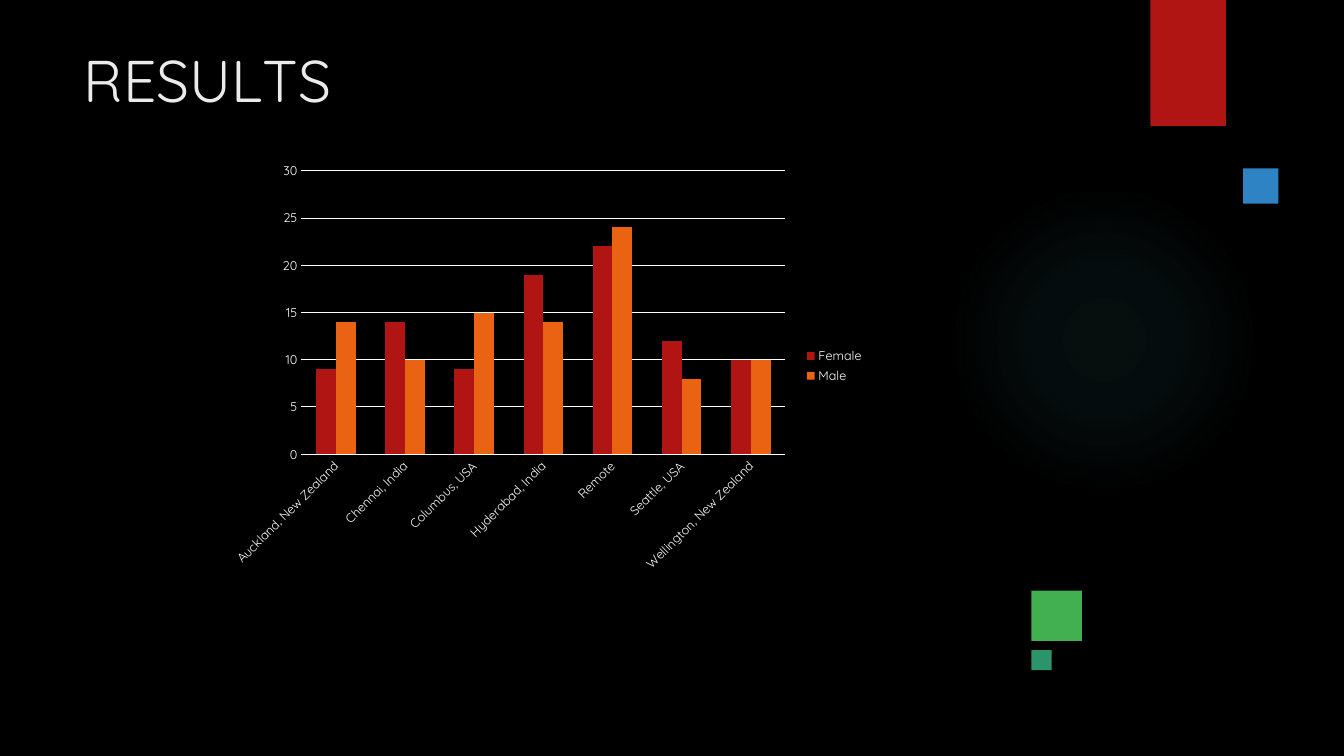
import lxml.etree
import pptx
import pptx.chart.data
import pptx.dml.color
import pptx.enum.chart
import pptx.enum.shapes
import pptx.enum.text
import pptx.oxml
import pptx.oxml.ns
import pptx.util

WIDTH, HEIGHT = 13.33, 7.5

# Colours and type sizes
THEME = {
    "font": "Quicksand", "title_size": 42, "chart_size": 10, "label_size": 9,
    "background": "000000", "title": "EBEBEB", "label": "FFFFFF", "glow": "50B9C1",
    "red": "B01513", "orange": "EA6312", "green": "42AF51",
    "blue": "2D83C3", "teal": "2D936B",
}

# Title pieces with their letter spacing in hundredths of a point
TITLE = [("R", 0), ("E", -40), ("S", 10), ("U", -30), ("L", -400), ("TS", 0)]

# Left, top, width and height in inches, then the colour
BLOCKS = [
    (11.41, 0, 0.75, 1.25, "red"),
    (10.23, 5.86, 0.5, 0.5, "green"),
    (12.33, 1.67, 0.35, 0.35, "blue"),
    (10.23, 6.45, 0.2, 0.2, "teal"),
]

GLOW_STOPS = [(0, 7), (36, 6), (69, 0)]  # position and opacity, per cent

OFFICES = ["Auckland, New Zealand", "Chennai, India", "Columbus, USA",
           "Hyderabad, India", "Remote", "Seattle, USA", "Wellington, New Zealand"]
HEADCOUNT = {
    "Female": ("red", [9, 14, 9, 19, 22, 12, 10]),
    "Male": ("orange", [14, 10, 15, 14, 24, 8, 10]),
}
PLOT_AREA = {"x": 0.115, "y": 0.07, "w": 0.748, "h": 0.625}


def colour(name):
    return pptx.dml.color.RGBColor.from_string(THEME[name])


def apply(target, formats):
    for name, value in formats.items():
        setattr(target, name, value)


def place(left, top, width, height):
    return [pptx.util.Inches(value) for value in (left, top, width, height)]


def paint(fill, name):
    fill.solid()
    fill.fore_color.rgb = colour(name)


def style_font(font, size, name):
    apply(font, {"name": THEME["font"], "size": pptx.util.Pt(THEME[size]), "bold": False})
    font.color.rgb = colour(name)


def style_line(line):
    line.width = pptx.util.Pt(0.75)
    line.color.rgb = colour("label")


def add_plain_shape(page, kind, box):
    shape = page.shapes.add_shape(kind, *place(*box))
    shape.shadow.inherit = False
    shape.line.fill.background()
    return shape


def add_block(page, left, top, width, height, name):
    block = add_plain_shape(page, pptx.enum.shapes.MSO_SHAPE.RECTANGLE,
                            (left, top, width, height))
    paint(block.fill, name)


def add_glow(page):
    glow = add_plain_shape(page, pptx.enum.shapes.MSO_SHAPE.OVAL, (9.41, 1.83, 3.08, 3.08))
    # Radial gradient that fades out towards the rim
    stops = "".join(
        f'<a:gs pos="{position * 1000}"><a:srgbClr val="{THEME["glow"]}">'
        f'<a:alpha val="{opacity * 1000}"/></a:srgbClr></a:gs>'
        for position, opacity in GLOW_STOPS)
    gradient = pptx.oxml.parse_xml(
        f'<a:gradFill {pptx.oxml.ns.nsdecls("a")} rotWithShape="1"><a:gsLst>{stops}</a:gsLst>'
        '<a:path path="circle"><a:fillToRect l="50000" t="50000" r="50000" b="50000"/>'
        '</a:path></a:gradFill>')
    glow.element.spPr.find(pptx.oxml.ns.qn("a:prstGeom")).addnext(gradient)


def add_title(page):
    title = page.shapes.title
    apply(title, dict(zip(("left", "top", "width", "height"), place(0.83, 0.42, 2.67, 0.83))))
    frame = title.text_frame
    apply(frame, {
        "margin_left": 0, "margin_top": pptx.util.Inches(0.01),
        "margin_right": 0, "margin_bottom": 0, "word_wrap": True,
        "vertical_anchor": pptx.enum.text.MSO_ANCHOR.TOP,
        "auto_size": pptx.enum.text.MSO_AUTO_SIZE.SHAPE_TO_FIT_TEXT,
    })
    para = frame.paragraphs[0]
    apply(para, {"alignment": pptx.enum.text.PP_ALIGN.LEFT,
                 "space_before": pptx.util.Pt(1.1)})
    for letters, spacing in TITLE:
        span = para.add_run()
        span.text = letters
        style_font(span.font, "title_size", "title")
        span.font._element.set("spc", str(spacing))


def set_plot_area(chart):
    settings = {"layoutTarget": "inner", "xMode": "edge", "yMode": "edge", **PLOT_AREA}
    plot_area = chart._chartSpace.chart.plotArea
    for old in plot_area.findall(pptx.oxml.ns.qn("c:layout")):
        plot_area.remove(old)
    layout = lxml.etree.Element(pptx.oxml.ns.qn("c:layout"))
    manual = lxml.etree.SubElement(layout, pptx.oxml.ns.qn("c:manualLayout"))
    for name, value in settings.items():
        lxml.etree.SubElement(manual, pptx.oxml.ns.qn("c:" + name)).set("val", str(value))
    plot_area.insert(0, layout)


def style_axis(axis):
    no_tick = pptx.enum.chart.XL_TICK_MARK.NONE
    apply(axis, {"major_tick_mark": no_tick, "minor_tick_mark": no_tick})
    style_font(axis.tick_labels.font, "label_size", "label")


def add_headcount_chart(page):
    data = pptx.chart.data.CategoryChartData()
    data.categories = OFFICES
    for name, (_, values) in HEADCOUNT.items():
        data.add_series(name, values)
    chart = page.shapes.add_chart(pptx.enum.chart.XL_CHART_TYPE.COLUMN_CLUSTERED,
                                  *place(2.25, 1.38, 6.42, 4.5), data).chart
    apply(chart, {"has_title": False, "has_legend": True})
    style_font(chart.font, "chart_size", "label")
    set_plot_area(chart)

    # Columns
    plot = chart.plots[0]
    apply(plot, {"gap_width": 150, "overlap": 0, "vary_by_categories": False})
    for series, (name, _) in zip(plot.series, HEADCOUNT.values()):
        paint(series.format.fill, name)

    # Axes
    offices, counts = chart.category_axis, chart.value_axis
    for axis in (offices, counts):
        style_axis(axis)
    style_line(offices.format.line)
    offices.tick_labels.font._element.getparent().getparent().getparent().bodyPr.set(
        "rot", "-2700000")
    apply(counts, {"minimum_scale": 0, "maximum_scale": 30, "major_unit": 5,
                   "has_major_gridlines": True})
    counts.format.line.fill.background()
    style_line(counts.major_gridlines.format.line)

    # Legend
    apply(chart.legend, {"position": pptx.enum.chart.XL_LEGEND_POSITION.RIGHT,
                         "include_in_layout": False})
    style_font(chart.legend.font, "label_size", "label")


def main():
    deck = pptx.Presentation()
    apply(deck, {"slide_width": pptx.util.Inches(WIDTH),
                 "slide_height": pptx.util.Inches(HEIGHT)})
    page = deck.slides.add_slide(deck.slide_layouts[5])
    paint(page.background.fill, "background")
    add_glow(page)
    for block in BLOCKS:
        add_block(page, *block)
    add_title(page)
    add_headcount_chart(page)
    deck.save("out.pptx")


if __name__ == "__main__":
    main()
